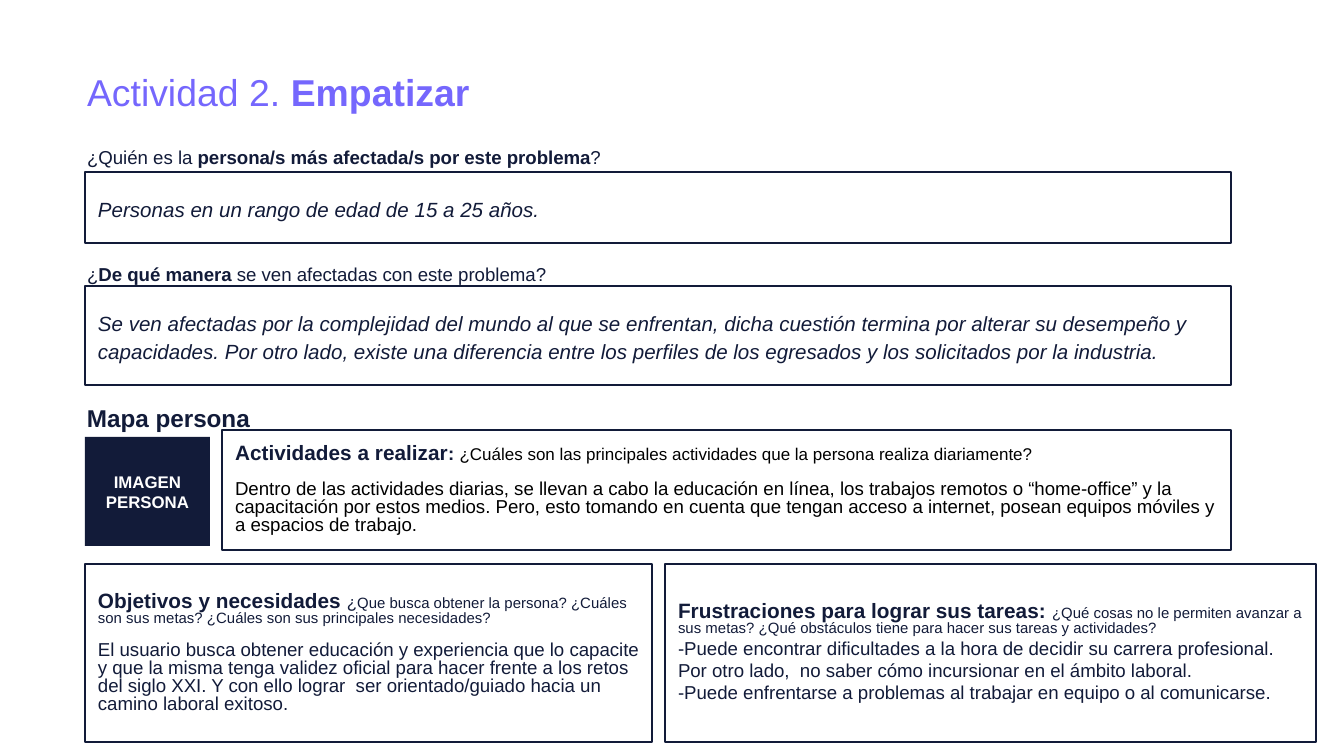
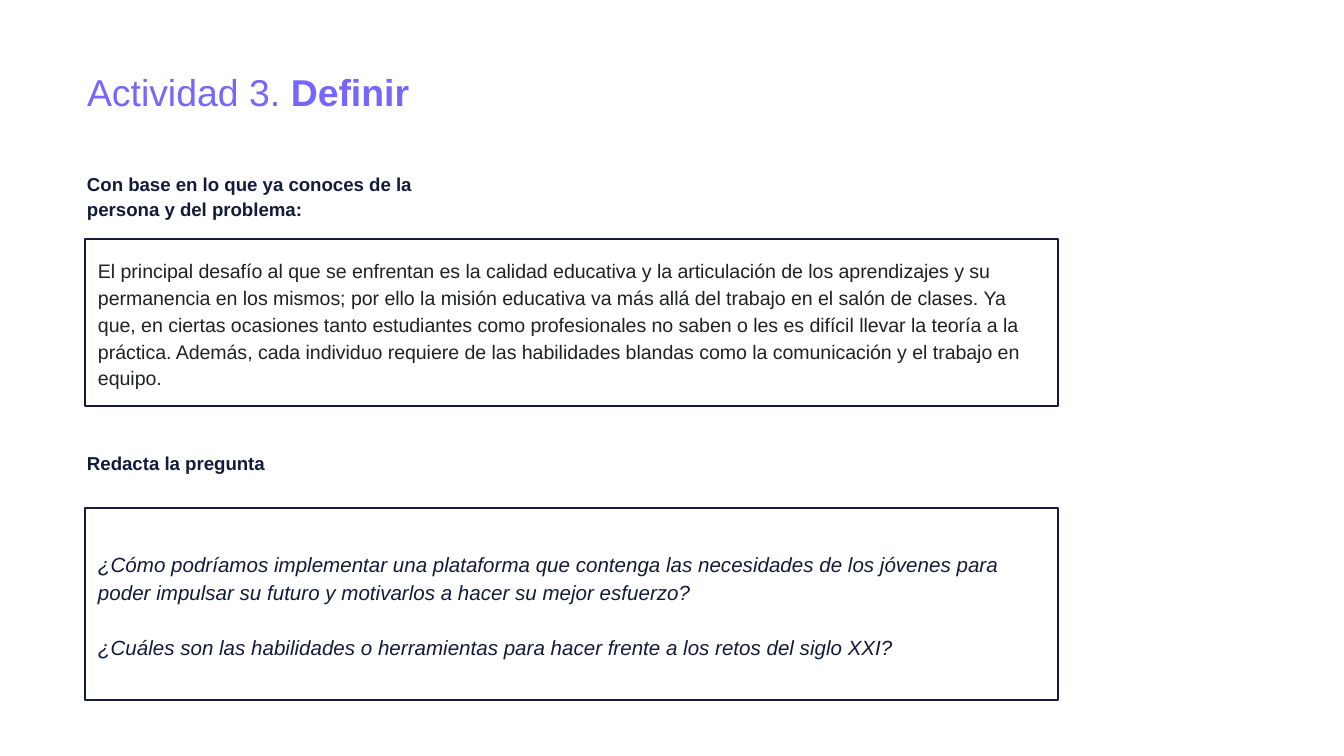
from dataclasses import dataclass

from pptx import Presentation
from pptx.dml.color import RGBColor
from pptx.enum.shapes import MSO_SHAPE
from pptx.enum.text import MSO_ANCHOR, MSO_AUTO_SIZE, PP_ALIGN
from pptx.util import Emu, Pt

SCALE = 914400 / 134.4  # EMU per pixel


@dataclass(frozen=True)
class Theme:
    font: str = "Arial"
    violet: str = "7567FD"
    navy: str = "121B39"
    ink: str = "202124"
    black: str = "000000"
    white: str = "FFFFFF"
    title: float = 20
    section: float = 13
    heading: float = 11.1
    answer: float = 11
    challenge: float = 10.5
    body: float = 10
    prompt: float = 9.1
    image: float = 9
    hint: float = 8
    border: float = 0.75
    inset: int = 13
    loose: float = 1.15
    tight: float = 0.8


T = Theme()
TITLE_LEFT, BOX_LEFT = 74, 85
TITLE_BOX = (TITLE_LEFT, 56, 501, 70)


def px(n):
    return Emu(round(n * SCALE))


def run(text, size=T.body, color=T.navy, **fmt):
    """Describe a run; extra values are font attributes such as bold."""
    return text, color, {"name": T.font, "size": Pt(size), **fmt}


def para(*runs, **fmt):
    """Describe a paragraph; extra values are paragraph attributes."""
    return runs, {"alignment": PP_ALIGN.LEFT, **fmt}


def write(tf, paras, anchor=MSO_ANCHOR.TOP):
    frame = {"word_wrap": True, "auto_size": MSO_AUTO_SIZE.NONE,
             "vertical_anchor": anchor}
    frame.update({f"margin_{side}": px(T.inset)
                  for side in ("left", "top", "right", "bottom")})
    for key, value in frame.items():
        setattr(tf, key, value)
    for i, (runs, p_fmt) in enumerate(paras):
        p = tf.add_paragraph() if i else tf.paragraphs[0]
        for key, value in p_fmt.items():
            setattr(p, key, value)
        for text, color, r_fmt in runs:
            r = p.add_run()
            r.text = text
            for key, value in r_fmt.items():
                setattr(r.font, key, value)
            r.font.color.rgb = RGBColor.from_string(color)


def add_slide(prs, lead, name):
    s = prs.slides.add_slide(prs.slide_layouts[5])
    sp = s.shapes.title
    for key, value in zip(("left", "top", "width", "height"), TITLE_BOX):
        setattr(sp, key, px(value))
    write(sp.text_frame, [para(run(lead, T.title, T.violet, bold=False),
                               run(name, T.title, T.violet, bold=True))])
    return s


def add_label(s, top, width, height, *runs):
    sp = s.shapes.add_textbox(*map(px, (TITLE_LEFT, top, width, height)))
    write(sp.text_frame, [para(*runs, line_spacing=T.loose)])


def add_box(s, box, paras, fill=None, border=True):
    sp = s.shapes.add_shape(MSO_SHAPE.RECTANGLE, *map(px, box))
    sp.shadow.inherit = False
    if fill:
        sp.fill.solid()
        sp.fill.fore_color.rgb = RGBColor.from_string(fill)
    else:
        sp.fill.background()
    if border:
        sp.line.color.rgb = RGBColor.from_string(T.navy)
        sp.line.width = Pt(T.border)
    else:
        sp.line.fill.background()
    write(sp.text_frame, paras, MSO_ANCHOR.MIDDLE)


def answer(text, **fmt):
    return para(run(text, T.answer, italic=True), line_spacing=T.loose, **fmt)


def build_empathize(prs):
    s = add_slide(prs, "Actividad 2. ", "Empatizar")
    width = 1146

    # Questions and answers
    add_label(s, 129, 644, 43, run("¿Quién es la "),
              run("persona/s más afectada/s por este problema", bold=True),
              run("?"))
    add_box(s, (BOX_LEFT, 172, width, 71),
            [answer("Personas en un rango de edad de 15 a 25 años. ")], T.white)
    add_label(s, 386, 400, 43, run("Mapa persona", T.section, bold=True))
    add_label(s, 246, 644, 43, run("¿"), run("De qué manera", bold=True),
              run(" se ven afectadas con este problema?"))
    add_box(s, (BOX_LEFT, 286, width, 99), [answer(
        "Se ven afectadas por la complejidad del mundo al que se enfrentan, "
        "dicha cuestión termina por alterar su desempeño y capacidades. Por "
        "otro lado, existe una diferencia entre los perfiles de los egresados "
        "y los solicitados por la industria.")], T.white)

    # Persona map: activities
    add_box(s, (222, 430, 1009, 120), [
        para(run("Actividades a realizar", T.heading, bold=True),
             run(": ", T.body, bold=True),
             run("¿Cuáles son las principales actividades que la persona "
                 "realiza diariamente?", T.prompt, T.black),
             line_spacing=T.tight),
        para(run("Dentro de las actividades diarias, se llevan a cabo la "
                 "educación en línea, los trabajos remotos o “home-office” y "
                 "la capacitación por estos medios. Pero, esto tomando en "
                 "cuenta que tengan acceso a internet, posean equipos móviles "
                 "y a espacios de trabajo.", color=T.black),
             line_spacing=T.tight, space_before=Pt(9.2))])

    # Persona map: frustrations and goals
    row_top, row_height = 564, 178
    add_box(s, (665, row_top, 651, row_height), [
        para(run("Frustraciones para lograr sus tareas: ", T.heading, bold=True),
             run("¿Qué cosas no le permiten avanzar a sus metas? ¿Qué "
                 "obstáculos tiene para hacer sus tareas y actividades?", T.hint),
             line_spacing=T.tight),
        para(run("-Puede encontrar dificultades a la hora de decidir su "
                 "carrera profesional. Por otro lado,  no saber cómo "
                 "incursionar en el ámbito laboral.")),
        para(run("-Puede enfrentarse a problemas al trabajar en equipo o al "
                 "comunicarse."))])
    add_box(s, (BOX_LEFT, row_top, 567, row_height), [
        para(run("Objetivos y necesidades ", T.heading, bold=True),
             run("¿", T.image),
             run("Que busca obtener la persona? ¿Cuáles son sus metas? "
                 "¿Cuáles son sus principales necesidades?", T.hint),
             line_spacing=T.tight),
        para(run("El usuario busca obtener educación y experiencia que lo "
                 "capacite y que la misma tenga validez oficial para hacer "
                 "frente a los retos del siglo XXI. Y con ello lograr  ser "
                 "orientado/guiado hacia un camino laboral exitoso."),
             line_spacing=T.tight, space_before=Pt(8.3))])

    # Persona image slot
    add_box(s, (BOX_LEFT, 437, 125, 109),
            [para(run("IMAGEN PERSONA", T.image, T.white, bold=True),
                  alignment=PP_ALIGN.CENTER)], T.navy, border=False)


def build_define(prs):
    s = add_slide(prs, "Actividad 3. ", "Definir")
    width = 973

    # Challenge
    add_label(s, 156, 400, 70,
              run("Con base en lo que ya conoces de la persona y del problema:",
                  bold=True))
    add_box(s, (BOX_LEFT, 239, width, 167), [para(run(
        "El principal\u00a0desafío\u00a0al que se enfrentan es la calidad "
        "educativa y la articulación de los aprendizajes y su permanencia en "
        "los mismos; por ello la misión educativa va más allá del trabajo en "
        "el salón de clases.\u00a0Ya que, en ciertas ocasiones tanto "
        "estudiantes como profesionales no saben o les es difícil llevar la "
        "teoría a la práctica. Además, cada individuo requiere de las "
        "habilidades blandas como la comunicación y el trabajo en equipo.",
        T.challenge, T.ink), line_spacing=T.loose)], T.white)

    # Question
    add_label(s, 435, 400, 43, run("Redacta la pregunta", bold=True))
    add_box(s, (BOX_LEFT, 508, width, 192), [
        answer("¿Cómo podríamos implementar una plataforma que contenga las "
               "necesidades de los jóvenes para poder impulsar su futuro y "
               "motivarlos a hacer su mejor esfuerzo?"),
        answer("¿Cuáles son las habilidades o herramientas para hacer frente "
               "a los retos del siglo XXI?", space_before=Pt(14.5))], T.white)


def main():
    prs = Presentation()
    prs.slide_width, prs.slide_height = px(1344), px(756)
    build_empathize(prs)
    build_define(prs)
    prs.save("out.pptx")


main()
